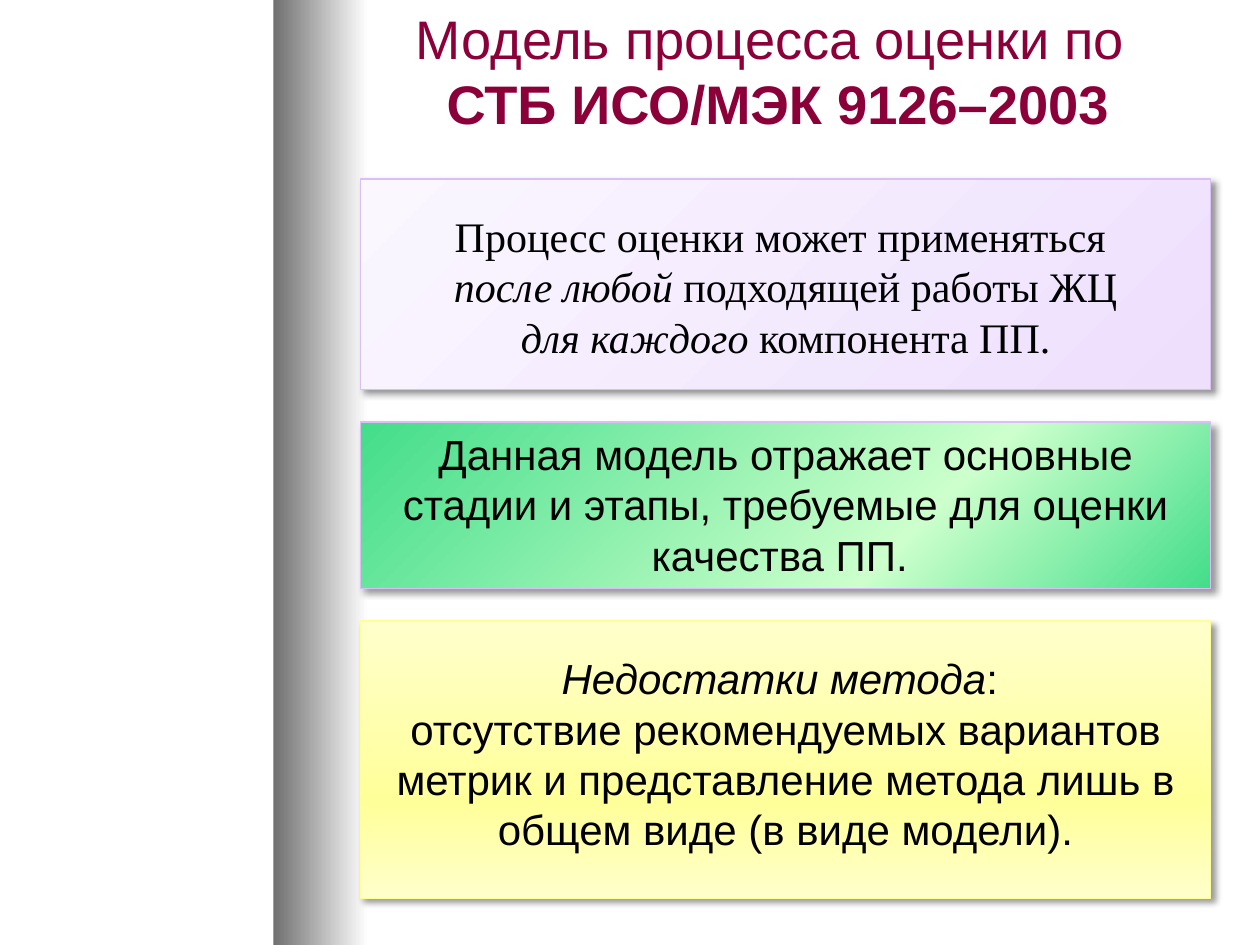
from pptx import Presentation
from pptx.dml.color import RGBColor
from pptx.enum.shapes import MSO_SHAPE
from pptx.enum.text import MSO_ANCHOR, PP_ALIGN
from pptx.oxml import parse_xml
from pptx.oxml.ns import nsdecls, qn
from pptx.util import Inches, Pt

RECT = MSO_SHAPE.RECTANGLE
TOP, MIDDLE = MSO_ANCHOR.TOP, MSO_ANCHOR.MIDDLE
CENTER = PP_ALIGN.CENTER
SANS, SERIF = "Arial", "Times New Roman"
COLORS = {
    "title": "8C0039", "text": "000000", "shadow": "000000", "white": "FFFFFF",
    "strip": "707070", "lilac_light": "FAF7FF", "lilac": "EEDFFD", "lilac_line": "DABEF7",
    "green": "43DD89", "green_light": "CCFFCC", "yellow": "FFFF99", "yellow_light": "FFFFCC",
}


class Deck:
    """Holds the style and the current slide; lengths are in cells of a 100 by 75 grid."""

    def __init__(self):
        self.prs = Presentation()
        self.prs.slide_width, self.prs.slide_height = Inches(10), Inches(7.5)
        self.cell = self.prs.slide_width / 100
        self.s = self.prs.slides.add_slide(self.prs.slide_layouts[5])
        fill = self.s.background.fill
        fill.solid()
        fill.fore_color.rgb = RGBColor.from_string(COLORS["white"])

    def grid(self, *lengths):
        return [round(n * self.cell) for n in lengths]

    def gradient(self, sp, stops, angle):
        sp.fill.gradient()
        sp.fill.gradient_angle = (360 - angle) % 360
        gs_list = sp.element.spPr.find(qn("a:gradFill")).find(qn("a:gsLst"))
        for gs in list(gs_list):
            gs_list.remove(gs)
        for pos, color in stops:
            gs_list.append(parse_xml(
                f'<a:gs {nsdecls("a")} pos="{pos * 1000}"><a:srgbClr val="{COLORS[color]}"/></a:gs>'))

    def drop_shadow(self, sp):
        effects = sp.element.spPr.find(qn("a:effectLst"))
        effects.append(parse_xml(
            f'<a:outerShdw {nsdecls("a")} blurRad="{Pt(4)}" dist="{Pt(3)}" dir="2700000" '
            f'algn="tl" rotWithShape="0"><a:srgbClr val="{COLORS["shadow"]}">'
            '<a:alpha val="40000"/></a:srgbClr></a:outerShdw>'))

    def rect(self, at, stops, angle, line=None):
        sp = self.s.shapes.add_shape(RECT, *self.grid(*at))
        sp.shadow.inherit = False
        self.gradient(sp, stops, angle)
        if line:
            sp.line.color.rgb = RGBColor.from_string(COLORS[line])
            sp.line.width = Pt(0.75)
        else:
            sp.line.fill.background()
        return sp

    def strip(self, at):
        sp = self.rect(at, [(0, "strip"), (100, "white")], 0)
        sp.element.getparent().insert(2, sp.element)

    def add_text(self, tf, paragraphs, font, size, color, bold=False):
        tf.word_wrap = True
        for i, lines in enumerate(paragraphs):
            p = tf.add_paragraph() if i else tf.paragraphs[0]
            p.alignment = CENTER
            for j, line in enumerate(lines):
                if j:
                    p.add_line_break()
                for text, marked in line:
                    r = p.add_run()
                    r.text = text
                    r.font.name, r.font.size = font, Pt(size)
                    r.font.color.rgb = RGBColor.from_string(COLORS[color])
                    r.font.bold, r.font.italic = bold and marked, not bold and marked

    def title(self, at, lines):
        sp = self.s.shapes.title
        sp.left, sp.top, sp.width, sp.height = self.grid(*at)
        sp.text_frame.vertical_anchor = MIDDLE
        self.add_text(sp.text_frame, [lines], SANS, 31, "title", bold=True)

    def panel(self, at, stops, angle, line, paragraphs, font=SANS, inset=0.5):
        sp = self.rect(at, stops, angle, line)
        self.drop_shadow(sp)
        tf = sp.text_frame
        tf.vertical_anchor = TOP
        tf.margin_top = self.grid(inset)[0]
        self.add_text(tf, paragraphs, font, 24, "text")


PANELS = [
    (16.7, dict(
        stops=[(0, "lilac_light"), (100, "lilac")], angle=45, line="lilac_line",
        font=SERIF, inset=2.5, paragraphs=[[
            [("Процесс оценки может применяться ", False)],
            [("после любой ", True), ("подходящей работы ЖЦ", False)],
            [("для каждого", True), (" компонента ПП.", False)]]])),
    (13.2, dict(
        stops=[(0, "green"), (35, "green_light"), (100, "green")], angle=225,
        line="lilac_line", paragraphs=[[[(
            "Данная модель отражает основные стадии и этапы, требуемые для оценки "
            "качества ПП. ", False)]]])),
    (22, dict(
        stops=[(0, "yellow_light"), (35, "yellow"), (100, "yellow_light")], angle=270,
        line="yellow", inset=2.5, paragraphs=[
            [[("Недостатки метода", True), (": ", False)]],
            [[("отсутствие рекомендуемых вариантов метрик и представление метода лишь "
               "в общем виде (в виде модели).", False)]]])),
]


def main():
    deck = Deck()
    deck.strip((21.7, 0, 7.5, 75))
    deck.title((26.7, 0.8, 70, 9.5), [
        [("Модель процесса оценки по ", False)], [("СТБ ИСО/МЭК 9126–2003", True)]])
    top, gap = 14.2, 2.6
    for height, panel in PANELS:
        deck.panel((28.6, top, 67.5, height), **panel)
        top += height + gap
    deck.prs.save("out.pptx")


if __name__ == "__main__":
    main()
